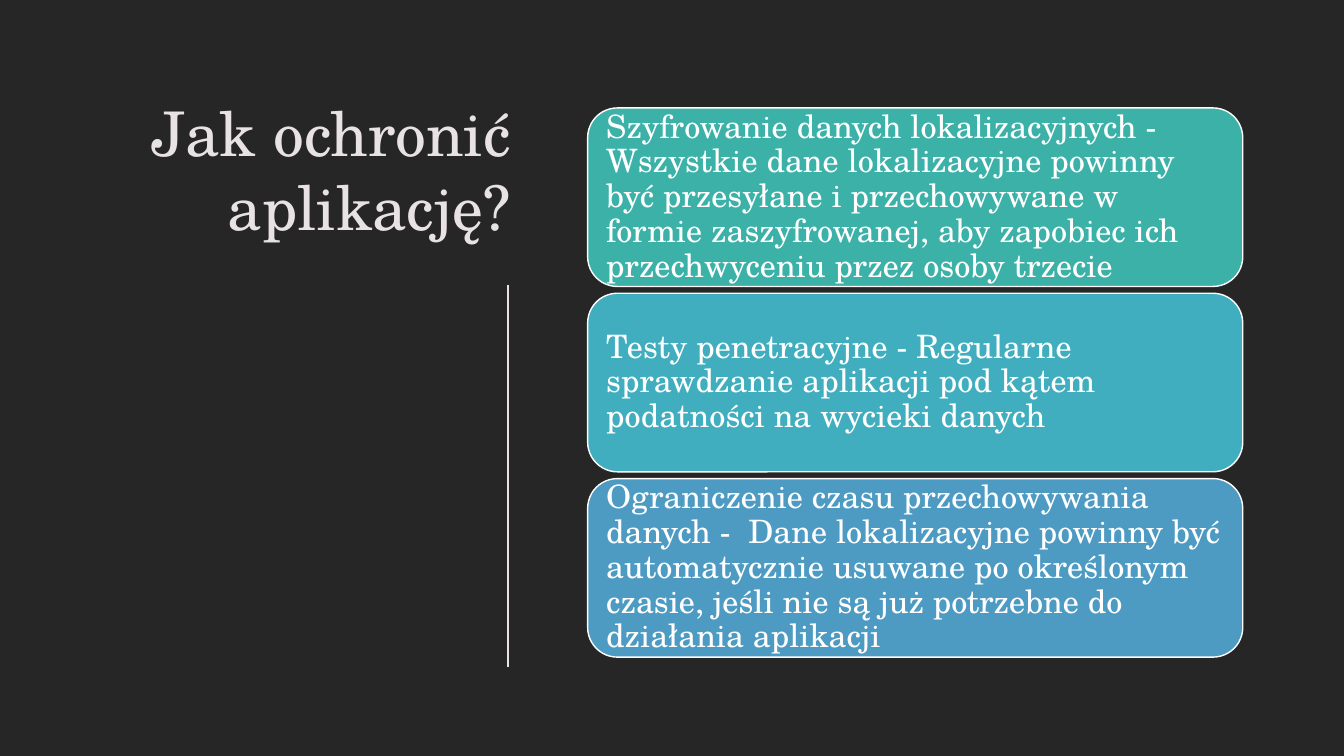
import pptx
import pptx.util
import pptx.dml.color
import pptx.enum.shapes
import pptx.enum.text
import pptx.oxml.ns
import lxml.etree

Cm = pptx.util.Cm
Pt = pptx.util.Pt

TITLE = "Jak ochronić aplikację?"
CARDS = [
    ("teal", "Szyfrowanie danych lokalizacyjnych -  Wszystkie dane lokalizacyjne powinny być przesyłane i przechowywane w formie zaszyfrowanej, aby zapobiec ich przechwyceniu przez osoby trzecie"),
    ("cyan", "Testy penetracyjne - Regularne sprawdzanie aplikacji pod kątem podatności na wycieki danych"),
    ("blue", "Ograniczenie czasu przechowywania danych -  Dane lokalizacyjne powinny być automatycznie usuwane po określonym czasie, jeśli nie są już potrzebne do działania aplikacji"),
]
COLOURS = {
    "background": "262626",
    "title": "E8E2E5",
    "white": "FFFFFF",
    "teal": "3BB1A8",
    "cyan": "40AEBE",
    "blue": "4D9BC3",
}
FONT = "TeX Gyre Schola"
ALIGN = pptx.enum.text.PP_ALIGN
ANCHOR = pptx.enum.text.MSO_ANCHOR
TITLE_FORMAT = {
    "frame": {"vertical_anchor": ANCHOR.BOTTOM, "word_wrap": True,
              "auto_size": pptx.enum.text.MSO_AUTO_SIZE.NONE},
    "paragraph": {"alignment": ALIGN.RIGHT, "line_spacing": 1.0},
    "font": {"name": FONT, "size": Pt(44)},
}
CARD_FORMAT = {
    "frame": {"vertical_anchor": ANCHOR.MIDDLE, "word_wrap": True,
              "margin_left": Cm(0.25), "margin_right": Cm(0.25),
              "margin_top": Cm(0.25), "margin_bottom": Cm(0.25)},
    "paragraph": {"alignment": ALIGN.LEFT, "line_spacing": 0.9},
    "font": {"name": FONT, "size": Pt(23)},
}
TITLE_BOX = {"left": Cm(2.18), "top": Cm(2.24), "width": Cm(10.95), "height": Cm(4.01)}
DIVIDER = (Cm(12.8), Cm(7.19), Cm(12.8), Cm(16.81))
CARD_LEFT, CARD_TOP, CARD_WIDTH, CARD_HEIGHT, CARD_GAP = 14.81, 2.72, 16.51, 4.5, 0.17


def colour(name):
    return pptx.dml.color.RGBColor.from_string(COLOURS[name])


def set_attributes(target, values):
    for name, value in values.items():
        setattr(target, name, value)


def write_text(shape, text, formats, colour_name):
    frame = shape.text_frame
    frame.text = text
    paragraph = frame.paragraphs[0]
    font = paragraph.runs[0].font
    set_attributes(frame, formats["frame"])
    set_attributes(paragraph, formats["paragraph"])
    set_attributes(font, formats["font"])
    font.color.rgb = colour(colour_name)


def add_divider(slide):
    connector = slide.shapes.add_connector(pptx.enum.shapes.MSO_CONNECTOR.STRAIGHT, *DIVIDER)
    connector.line.color.rgb = colour("title")
    connector.line.width = Pt(0.85)
    properties = connector._element.spPr
    lxml.etree.SubElement(properties, pptx.oxml.ns.qn("a:effectLst"))


def add_card(slide, index, fill, text):
    top = CARD_TOP + index * (CARD_HEIGHT + CARD_GAP)
    card = slide.shapes.add_shape(
        pptx.enum.shapes.MSO_SHAPE.ROUNDED_RECTANGLE,
        Cm(CARD_LEFT), Cm(top), Cm(CARD_WIDTH), Cm(CARD_HEIGHT))
    card.shadow.inherit = False
    card.fill.solid()
    card.fill.fore_color.rgb = colour(fill)
    card.line.color.rgb = colour("white")
    card.line.width = Pt(1)
    write_text(card, text, CARD_FORMAT, "white")


def main():
    presentation = pptx.Presentation()
    set_attributes(presentation, {"slide_width": Cm(33.87), "slide_height": Cm(19.05)})
    slide = presentation.slides.add_slide(presentation.slide_layouts.get_by_name("Title Only"))
    slide.background.fill.solid()
    slide.background.fill.fore_color.rgb = colour("background")
    title = slide.shapes.title
    set_attributes(title, TITLE_BOX)
    write_text(title, TITLE, TITLE_FORMAT, "title")
    add_divider(slide)
    for index, (fill, text) in enumerate(CARDS):
        add_card(slide, index, fill, text)
    presentation.save("out.pptx")


if __name__ == "__main__":
    main()
